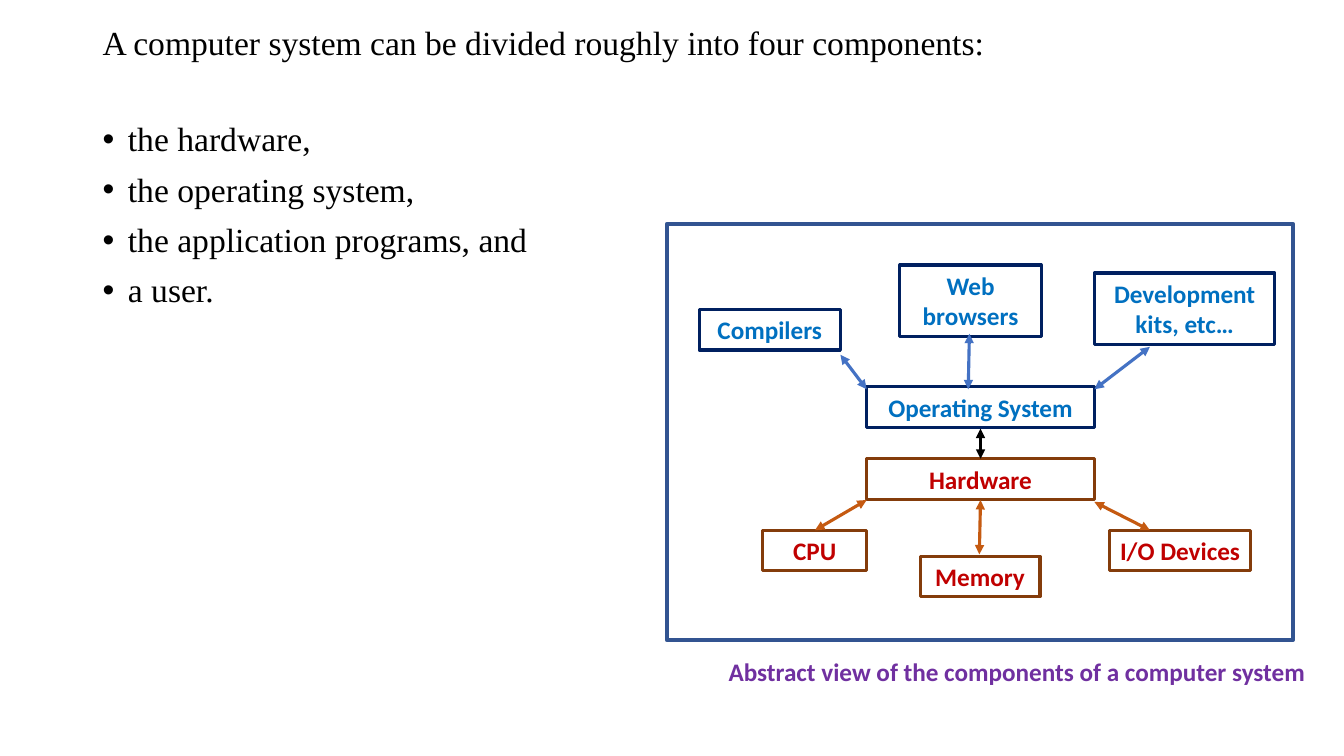
import pptx
import pptx.dml.color
import pptx.enum.shapes
import pptx.enum.text
import pptx.oxml
import pptx.oxml.ns
import pptx.util
from lxml import etree

Cm = pptx.util.Cm
Pt = pptx.util.Pt
ALIGN = pptx.enum.text.PP_ALIGN
ANCHOR = pptx.enum.text.MSO_ANCHOR

SYSTEM_COLORS = {"line": "002060", "text": "0070C0"}
HARDWARE_COLORS = {"line": "843C0B", "text": "C00000"}

# label, left, top, width, height, colours; lengths in cm from the frame corner
COMPONENTS = [
    ("Operating System", 5.03, 4.11, 5.74, 1.02, SYSTEM_COLORS),
    ("Hardware", 5.03, 5.92, 5.74, 1.02, HARDWARE_COLORS),
    ("CPU", 2.41, 7.72, 2.62, 1.02, HARDWARE_COLORS),
    ("Memory", 6.38, 8.38, 3.02, 1.02, HARDWARE_COLORS),
    ("I/O Devices", 11.15, 7.72, 3.56, 1.02, HARDWARE_COLORS),
    ("Compilers", 0.81, 2.16, 3.56, 1.02, SYSTEM_COLORS),
    ("Web browsers", 5.87, 1.04, 3.56, 1.8, SYSTEM_COLORS),
    ("Development kits, etc…", 10.77, 1.24, 4.55, 1.8, SYSTEM_COLORS),
]

# start x, start y, end x, end y, colour
ARROWS = [
    (3.73, 7.72, 5.03, 6.96, "C55A11"),
    (7.87, 8.33, 7.9, 6.96, "C55A11"),
    (12.17, 7.72, 10.77, 7.01, "C55A11"),
    (4.37, 3.3, 5.03, 4.17, "4472C4"),
    (7.59, 4.17, 7.62, 2.77, "4472C4"),
    (12.17, 3.1, 10.77, 4.17, "4472C4"),
    (7.9, 5.16, 7.9, 5.92, "000000"),
]


def color(hex_text):
    """Turn a hex string into a colour."""
    return pptx.dml.color.RGBColor.from_string(hex_text)


def format_paragraph(paragraph, font_name, size, hex_text, bold=False, align=ALIGN.LEFT):
    """Set the font and alignment of a paragraph."""
    paragraph.alignment = align
    paragraph.font.name = font_name
    paragraph.font.size = Pt(size)
    paragraph.font.bold = bold
    paragraph.font.color.rgb = color(hex_text)


def place(shape, box):
    """Move a shape to a box given in cm."""
    shape.left, shape.top, shape.width, shape.height = map(Cm, box)


def fill_placeholder(placeholder, box, lines, anchor):
    """Move a placeholder and fill it with one paragraph per line."""
    place(placeholder, box)
    frame = placeholder.text_frame
    frame.text = "\n".join(lines)
    frame.auto_size = pptx.enum.text.MSO_AUTO_SIZE.NONE
    frame.vertical_anchor = anchor
    for paragraph in frame.paragraphs:
        format_paragraph(paragraph, "Times New Roman", 24, "000000")
        paragraph.line_spacing = 0.9


def add_title(slide, box):
    """Write the heading in the title placeholder."""
    lines = ["A computer system can be divided roughly into four components:"]
    fill_placeholder(slide.shapes.title, box, lines, ANCHOR.MIDDLE)


def add_list(slide, box):
    """Write the bulleted list in the body placeholder."""
    body = slide.placeholders[1]
    lines = ["the hardware,", "the operating system,",
             "the application programs, and", "a user."]
    fill_placeholder(body, box, lines, ANCHOR.TOP)
    for paragraph in body.text_frame.paragraphs:
        paragraph.space_before = Pt(10)
        properties = paragraph._p.get_or_add_pPr()
        properties.set("marL", str(Cm(0.64)))
        properties.set("indent", str(Cm(-0.64)))


def add_rectangle(slide, box, line_color, line_width):
    """Add an unfilled outlined rectangle."""
    rectangle = slide.shapes.add_shape(
        pptx.enum.shapes.MSO_SHAPE.RECTANGLE, *map(Cm, box))
    rectangle.shadow.inherit = False
    rectangle.fill.background()
    rectangle.line.color.rgb = color(line_color)
    rectangle.line.width = Pt(line_width)
    return rectangle


def write_label(shape, text, hex_text):
    """Write a bold centred diagram label in a shape."""
    frame = shape.text_frame
    frame.word_wrap = True
    frame.vertical_anchor = ANCHOR.MIDDLE
    frame.margin_left = frame.margin_right = Cm(0.2)
    frame.text = text
    format_paragraph(frame.paragraphs[0], "Calibri", 18, hex_text, True, ALIGN.CENTER)


def add_arrow(slide, start, end, hex_text):
    """Add a straight arrow with a head at both ends."""
    arrow = slide.shapes.add_connector(
        pptx.enum.shapes.MSO_CONNECTOR.STRAIGHT, *map(Cm, start + end))
    arrow.line.color.rgb = color(hex_text)
    arrow.line.width = Pt(2.25)
    line = arrow.line._get_or_add_ln()
    for tag in ("a:headEnd", "a:tailEnd"):
        etree.SubElement(line, pptx.oxml.ns.qn(tag), type="triangle")
    etree.SubElement(arrow._element.spPr, pptx.oxml.ns.qn("a:effectLst"))


def add_diagram(slide, box):
    """Draw the framed component diagram inside a box."""
    left, top = box[:2]
    add_rectangle(slide, box, "325491", 3)
    for label, x, y, width, height, colors in COMPONENTS:
        component = add_rectangle(
            slide, (left + x, top + y, width, height), colors["line"], 2.25)
        write_label(component, label, colors["text"])
    for start_x, start_y, end_x, end_y, hex_text in ARROWS:
        add_arrow(slide, (left + start_x, top + start_y),
                  (left + end_x, top + end_y), hex_text)


def add_caption(slide, box):
    """Add the caption of the diagram."""
    caption = slide.shapes.add_textbox(*map(Cm, box))
    write_label(caption, "Abstract view of the components of a computer system", "7030A0")


presentation = pptx.Presentation()
presentation.slide_width = Cm(33.87)
presentation.slide_height = Cm(19.05)
slide = presentation.slides.add_slide(presentation.slide_layouts[1])
add_title(slide, (2.33, 0, 29.21, 2.26))
add_list(slide, (2.33, 2.97, 14.4, 6.05))
add_diagram(slide, (16.81, 5.64, 15.77, 10.49))
add_caption(slide, (18.01, 16.41, 15.24, 1.02))
presentation.save("out.pptx")
